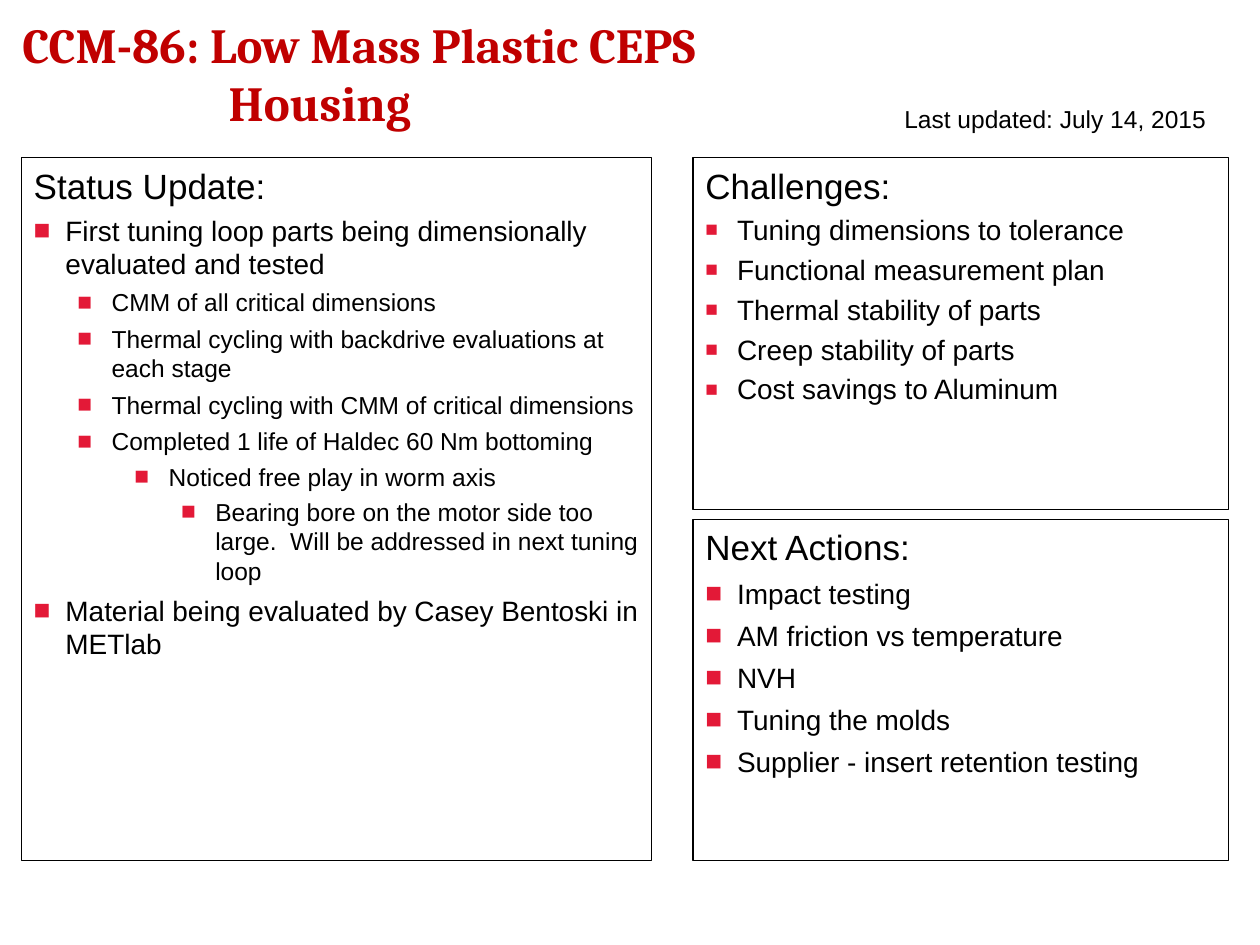
from pptx import Presentation
from pptx.dml.color import RGBColor
from pptx.enum.shapes import MSO_SHAPE
from pptx.enum.text import MSO_ANCHOR, MSO_AUTO_SIZE, PP_ALIGN
from pptx.oxml.ns import qn
from pptx.util import Cm, Pt
from lxml import etree

RECT = MSO_SHAPE.RECTANGLE
TOP, MIDDLE = MSO_ANCHOR.TOP, MSO_ANCHOR.MIDDLE
NO_FIT = MSO_AUTO_SIZE.NONE
LEFT, CENTER = PP_ALIGN.LEFT, PP_ALIGN.CENTER

COLORS = {"text": "000000", "title": "C00000", "bullet": "E31937"}
TITLE = [("CCM-86: Low Mass Plastic CEPS", 0), ("Housing", 4.16)]
UPDATED = "Last updated: July 14, 2015"
STATUS = ("Status Update:", [
    (0, "First tuning loop parts being dimensionally evaluated and tested", 4),
    (1, "CMM of all critical dimensions", 4),
    (1, "Thermal cycling with backdrive evaluations at each stage", 4),
    (1, "Thermal cycling with CMM of critical dimensions", 4),
    (1, "Completed 1 life of Haldec 60 Nm bottoming", 4),
    (2, "Noticed free play in worm axis", 3.6),
    (3, "Bearing bore on the motor side too large.  Will be addressed in next tuning loop", 3.2),
    (0, "Material being evaluated by Casey Bentoski in METlab", 4.8),
])
CHALLENGES = ("Challenges:", [(0, text, 3.6) for text in (
    "Tuning dimensions to tolerance",
    "Functional measurement plan",
    "Thermal stability of parts",
    "Creep stability of parts",
    "Cost savings to Aluminum",
)])
ACTIONS = ("Next Actions:", [(0, text, 4.8) for text in (
    "Impact testing",
    "AM friction vs temperature",
    "NVH",
    "Tuning the molds",
    "Supplier - insert retention testing",
)])
INDENTS = [0.64, 1.57, 2.72, 3.66]
SIZES = [16, 14, 14, 14]
PANEL_TOP, PANEL_BOTTOM, GAP = 3.18, 17.35, 0.2
RIGHT_X, RIGHT_W, CHALLENGES_H = 13.97, 10.8, 7.09
ACTIONS_Y = PANEL_TOP + CHALLENGES_H + GAP


def set_attrs(obj, values):
    for name, value in values.items():
        setattr(obj, name, value)


def place(sp, x, y, w, h, anchor=TOP):
    set_attrs(sp, {"left": Cm(x), "top": Cm(y), "width": Cm(w), "height": Cm(h)})
    set_attrs(sp.text_frame, {
        "word_wrap": True, "auto_size": NO_FIT, "vertical_anchor": anchor,
        "margin_left": Cm(0.25), "margin_right": Cm(0.25),
        "margin_top": Cm(0.13), "margin_bottom": Cm(0.13)})


def add_text(tf, text, size, color="text", font="Arial", bold=False, align=LEFT,
             before=0, level=0, margin=0, hanging=0, bullet_size=None):
    p = tf.paragraphs[0]
    if p.runs:
        p = tf.add_paragraph()
    set_attrs(p, {"level": level, "alignment": align, "space_before": Pt(before)})
    pPr = p._p.get_or_add_pPr()
    pPr.set("marL", str(Cm(margin)))
    pPr.set("indent", str(-Cm(hanging)))
    if hanging:
        clr = etree.SubElement(pPr, qn("a:buClr"))
        etree.SubElement(clr, qn("a:srgbClr"), val=COLORS["bullet"])
        if bullet_size:
            etree.SubElement(pPr, qn("a:buSzPct"), val=str(bullet_size * 1000))
        etree.SubElement(pPr, qn("a:buFont"), typeface="Arial")
        etree.SubElement(pPr, qn("a:buChar"), char="■")
    else:
        etree.SubElement(pPr, qn("a:buNone"))
    r = p.add_run()
    r.text = text
    set_attrs(r.font, {"name": font, "size": Pt(size), "bold": bold})
    r.font.color.rgb = RGBColor.from_string(COLORS[color])


def fill_panel(sp, box, content, hanging=0.69, bullet_size=None):
    place(sp, *box)
    sp.fill.background()
    sp.line.color.rgb = RGBColor.from_string(COLORS["text"])
    sp.line.width = Pt(0.75)
    heading, items = content
    add_text(sp.text_frame, heading, 20)
    for level, text, before in items:
        add_text(sp.text_frame, text, SIZES[level], before=before, level=level,
                 margin=INDENTS[level], hanging=hanging, bullet_size=bullet_size)


def add_panel(s, *args, **formats):
    sp = s.shapes.add_shape(RECT, 0, 0, 0, 0)
    sp.shadow.inherit = False
    fill_panel(sp, *args, **formats)


def main():
    """Build the project status slide."""
    prs = Presentation()
    set_attrs(prs, {"slide_width": Cm(25.4), "slide_height": Cm(19.05)})
    s = prs.slides.add_slide(prs.slide_layouts[1])

    place(s.shapes.title, 0.2, 0.2, 16.94, 2.54, MIDDLE)
    for text, margin in TITLE:
        add_text(s.shapes.title.text_frame, text, 28, "title", "Cambria", True, margin=margin)

    fill_panel(s.placeholders[1], (0.43, PANEL_TOP, 12.7, PANEL_BOTTOM - PANEL_TOP), STATUS)
    add_panel(s, (RIGHT_X, PANEL_TOP, RIGHT_W, CHALLENGES_H), CHALLENGES,
              hanging=0.64, bullet_size=75)
    add_panel(s, (RIGHT_X, ACTIONS_Y, RIGHT_W, PANEL_BOTTOM - ACTIONS_Y), ACTIONS)

    sp = s.shapes.add_textbox(0, 0, 0, 0)
    place(sp, 17.78, 1.96, 6.99, 1.02)
    add_text(sp.text_frame, UPDATED, 14, align=CENTER)
    prs.save("out.pptx")


if __name__ == "__main__":
    main()
